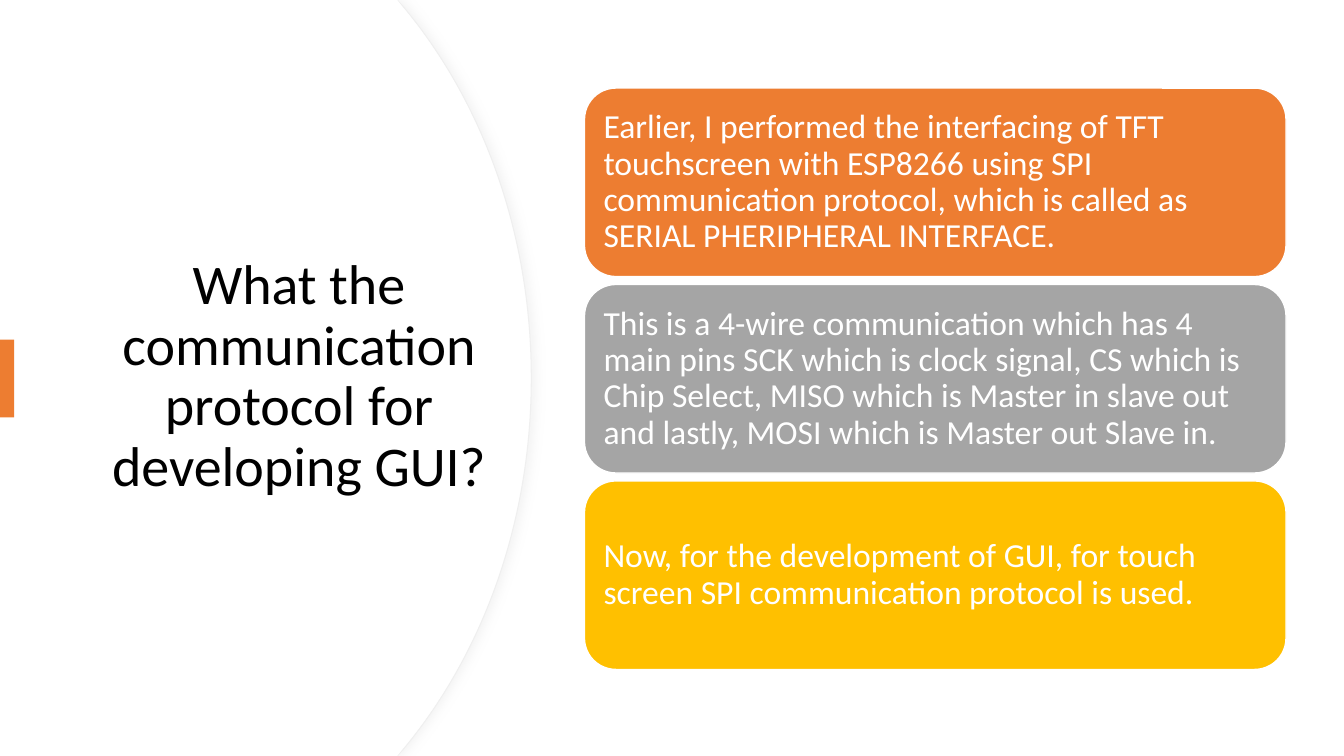
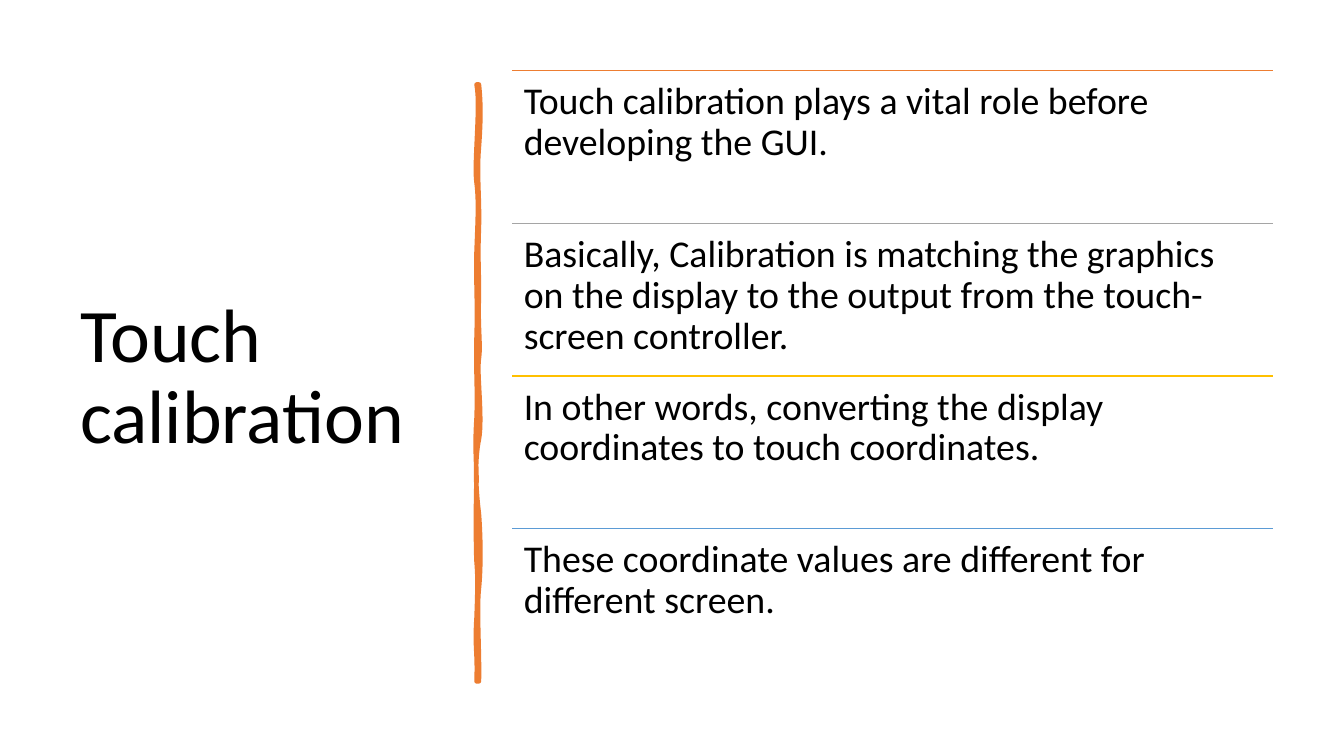
from lxml import etree
from pptx import Presentation
from pptx import util as u
from pptx.dml.color import RGBColor
from pptx.enum import shapes, text
from pptx.oxml.ns import qn

ORANGE = RGBColor(0xED, 0x7D, 0x31)
GRAY = RGBColor(0xA5, 0xA5, 0xA5)
GOLD = RGBColor(0xFF, 0xC0, 0x00)
BLUE = RGBColor(0x5B, 0x9B, 0xD5)
PALE = RGBColor(0xEF, 0xEF, 0xEF)
WHITE = RGBColor(0xFF, 0xFF, 0xFF)
BLACK = RGBColor(0x00, 0x00, 0x00)
FONT = "Calibri"


def set_text(sp, words, size, color=BLACK, inset=0.25,
             anchor=text.MSO_ANCHOR.MIDDLE, align=text.PP_ALIGN.LEFT):
    tf = sp.text_frame
    tf.word_wrap = True
    tf.vertical_anchor = anchor
    tf.margin_left = tf.margin_right = u.Cm(inset)
    tf.margin_top = tf.margin_bottom = u.Cm(inset)
    tf.text = words
    p = tf.paragraphs[0]
    p.alignment = align
    p.line_spacing = 0.9
    r = p.runs[0]
    r.font.name = FONT
    r.font.size = u.Pt(size)
    r.font.color.rgb = color


def add_outline(s, curves, fill):
    points = [(u.Cm(x), u.Cm(y)) for curve in curves for x, y in curve]
    fb = s.shapes.build_freeform(*points[0])
    fb.add_line_segments(points[1:], close=True)
    sp = fb.convert_to_shape()
    outline = sp._element.spPr.find(".//" + qn("a:path"))
    steps = list(outline)
    start = 0
    for curve in curves:
        for i in range(start + 1, start + len(curve), 3):
            bend = etree.Element(qn("a:cubicBezTo"))
            steps[i].addprevious(bend)
            for step in steps[i:i + 3]:
                bend.append(step[0])
                outline.remove(step)
        start += len(curve)
    sp.shadow.inherit = False
    sp.fill.solid()
    sp.fill.fore_color.rgb = fill
    sp.line.fill.background()
    return sp


prs = Presentation()
prs.slide_width = u.Cm(33.87)
prs.slide_height = u.Cm(19.05)
blank = prs.slide_layouts[6]

s = prs.slides.add_slide(blank)
for shift in (0, -0.03):
    arc = [(x + shift, y) for x, y in (
        (10.19, 0.2), (12.17, 2.59), (13.39, 5.89), (13.39, 9.53),
        (13.39, 13.16), (12.17, 16.46), (10.19, 18.85))]
    panel = add_outline(s, [[(0, 0)], [(10.01, 0)], arc, [(10.01, 19.05)], [(0, 19.05)]], WHITE)
    if shift == 0:
        panel.line.color.rgb = PALE
        panel.line.width = u.Pt(0.75)
        effects = panel._element.spPr.find(qn("a:effectLst"))
        shadow = etree.SubElement(effects, qn("a:outerShdw"), blurRad=str(u.Pt(7)),
                                  dist=str(u.Pt(3)), dir="0", algn="l", rotWithShape="0")
        tint = etree.SubElement(shadow, qn("a:srgbClr"), val="D9D9D9")
        etree.SubElement(tint, qn("a:alpha"), val="30000")

title = s.shapes.add_textbox(u.Cm(1.72), u.Cm(3.23), u.Cm(11.63), u.Cm(12.57))
set_text(title, "What the communication protocol for developing GUI?", 40,
         align=text.PP_ALIGN.CENTER)

tab = s.shapes.add_shape(shapes.MSO_SHAPE.RECTANGLE, 0, u.Cm(8.56), u.Cm(0.36), u.Cm(1.96))
tab.shadow.inherit = False
tab.fill.solid()
tab.fill.fore_color.rgb = ORANGE
tab.line.fill.background()

cards = [
    (ORANGE, "Earlier, I performed the interfacing of TFT touchscreen with ESP8266 using SPI "
             "communication protocol, which is called as SERIAL PHERIPHERAL INTERFACE."),
    (GRAY, "This is a 4-wire communication which has 4 main pins SCK which is clock signal, "
           "CS which is Chip Select, MISO which is Master in slave out and lastly, "
           "MOSI which is Master out Slave in."),
    (GOLD, "Now, for the development of GUI, for touch screen SPI communication protocol is used."),
]
for i, (color, words) in enumerate(cards):
    card = s.shapes.add_shape(shapes.MSO_SHAPE.ROUNDED_RECTANGLE, u.Cm(14.73),
                              u.Cm(2.22 + 4.95 * i), u.Cm(17.68), u.Cm(4.75))
    card.shadow.inherit = False
    card.fill.solid()
    card.fill.fore_color.rgb = color
    card.line.color.rgb = WHITE
    card.line.width = u.Pt(1)
    set_text(card, words, 24, WHITE)

s = prs.slides.add_slide(blank)
title = s.shapes.add_textbox(u.Cm(1.77), u.Cm(1.78), u.Cm(9.5), u.Cm(15.52))
set_text(title, "Touch calibration", 54)

right_edge = [
    (12.07, 2.13), (12.12, 2.59), (12.12, 3.02), (12.07, 3.71),
    (12.01, 4.39), (12.09, 4.95), (12.07, 5.74), (12.04, 6.53), (12.07, 6.65), (12.07, 7.47),
    (12.04, 8.26), (12.12, 8.69), (12.07, 9.04), (12.01, 9.4), (12.17, 10.52), (12.07, 11.07),
    (11.96, 11.61), (11.99, 12.29), (12.07, 12.95), (12.12, 13.61), (12.12, 14.33), (12.07, 14.83),
    (12.01, 15.32), (12.09, 16.51), (12.07, 17.17)]
left_edge = [
    (12.01, 17.17), (12.04, 16.41), (11.96, 16.36), (12.01, 15.57),
    (12.04, 14.81), (12.04, 14.48), (12.01, 14.15), (11.99, 13.82), (11.99, 12.57), (12.01, 12.12),
    (12.01, 11.66), (11.96, 11.3), (12.01, 10.54), (12.04, 9.8), (11.99, 9.47), (12.01, 8.51),
    (12.04, 7.57), (11.99, 7.14), (12.01, 6.35), (12.04, 5.54), (12.07, 5.08), (12.01, 4.6),
    (11.94, 4.14), (12.12, 2.64), (12.01, 2.13)]
divider = add_outline(s, [right_edge, left_edge], ORANGE)
divider.line.color.rgb = ORANGE
divider.line.width = u.Pt(3.25)
etree.SubElement(divider._element.spPr.find(qn("a:ln")), qn("a:round"))

rows = [
    (ORANGE, "Touch calibration plays a vital role before developing the GUI."),
    (GRAY, "Basically, Calibration is matching the graphics on the display to the output "
           "from the touch-screen controller."),
    (GOLD, "In other words, converting the display coordinates to touch coordinates."),
    (BLUE, "These coordinate values are different for different screen."),
]
left, width = 12.91, 19.18
pitch = 15.38 / len(rows)
for i, (color, words) in enumerate(rows):
    top = 1.78 + pitch * i
    rule = s.shapes.add_connector(shapes.MSO_CONNECTOR.STRAIGHT, u.Cm(left), u.Cm(top),
                                  u.Cm(left + width), u.Cm(top))
    rule.line.color.rgb = color
    rule.line.width = u.Pt(1)
    etree.SubElement(rule._element.spPr, qn("a:effectLst"))
    row = s.shapes.add_textbox(u.Cm(left), u.Cm(top), u.Cm(width), u.Cm(pitch))
    set_text(row, words, 27, inset=0.29, anchor=text.MSO_ANCHOR.TOP)

prs.save("out.pptx")
